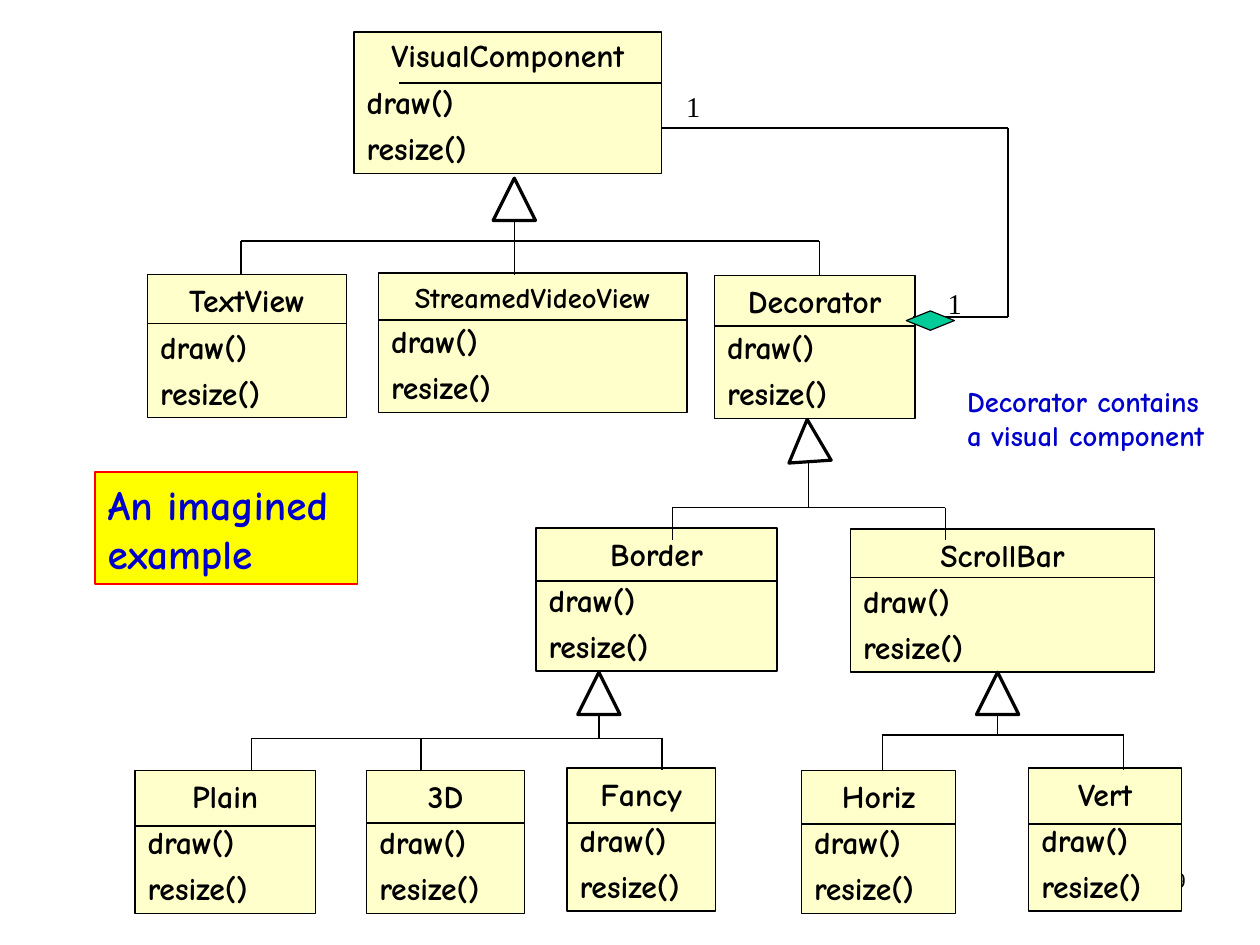
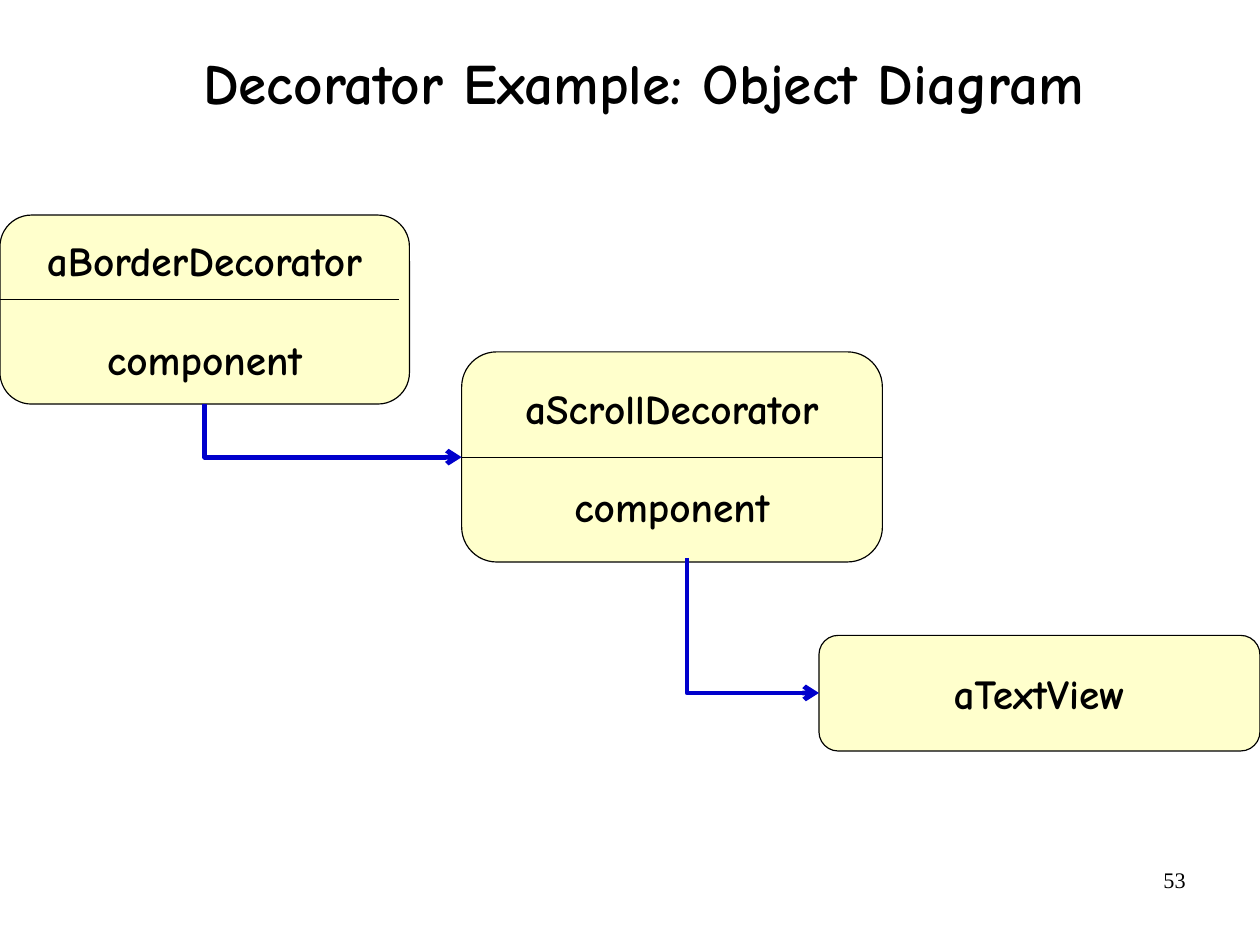
"""Build two slides on the Decorator pattern: a class tree and an object diagram."""
from itertools import pairwise

from pptx import Presentation
from pptx.dml.color import RGBColor
from pptx.enum import shapes as kinds, text as txt
from pptx.oxml.ns import qn
from pptx.util import Cm, Pt

HUES = {"ink": "000000", "cream": "FFFFCC", "blue": "0000CC",
        "yellow": "FFFF00", "red": "FF0000", "green": "00CC99"}
COMIC = {"name": "Comic Neue", "bold": True}
TIMES = {"name": "Times New Roman", "bold": False}
FRAME = {"word_wrap": True, "auto_size": txt.MSO_AUTO_SIZE.NONE,
         "margin_left": Cm(0.28), "margin_right": Cm(0.28),
         "margin_top": Cm(0.15), "margin_bottom": Cm(0.15),
         "vertical_anchor": txt.MSO_ANCHOR.TOP}
MIDDLE = {"vertical_anchor": txt.MSO_ANCHOR.MIDDLE}
LEFT, CENTER, RIGHT = (txt.PP_ALIGN.LEFT, txt.PP_ALIGN.CENTER,
                       txt.PP_ALIGN.RIGHT)
FORM = kinds.MSO_SHAPE
JOIN = kinds.MSO_CONNECTOR

# name: left, top, width, height, divider
CLASSES = {
    "VisualComponent": (7.87, 0.71, 6.83, 3.15, 1.85),
    "TextView": (3.28, 6.1, 4.42, 3.18, 7.19),
    "StreamedVideoView": (8.41, 6.07, 6.86, 3.1, 7.11),
    "Decorator": (15.88, 6.12, 4.45, 3.18, 7.24),
    "Border": (11.91, 11.73, 5.36, 3.18, 12.91),
    "ScrollBar": (18.9, 11.76, 6.76, 3.18, 12.83),
    "Plain": (3, 17.12, 4.01, 3.18, 18.36),
    "3D": (8.15, 17.12, 3.51, 3.18, 18.29),
    "Fancy": (12.6, 17.07, 3.3, 3.18, 18.29),
    "Horiz": (17.81, 17.12, 3.43, 3.18, 18.31),
    "Vert": (22.86, 17.07, 3.4, 3.18, 18.31),
}
# apex x, apex y, bar y, child x values, child y, turn
TREES = [
    (11.43, 3.96, 5.36, (5.36, 11.43, 18.21), 6.1, 0),
    (17.97, 9.32, 11.28, (14.94, 21.01), 11.99, 356.1),
    (13.31, 14.94, 16.41, (5.59, 9.35, 14.71), 17.12, 0),
    (22.17, 14.94, 16.33, (19.61, 24.97), 17.12, 0),
]
# left, top, width, height, words, divider span
OBJECTS = [
    (0, 4.78, 9.1, 4.2, ("aBorderDecorator", "component"), (0, 6.65, 8.86)),
    (10.26, 7.82, 9.35, 4.67, ("aScrollDecorator", "component"),
     (10.26, 10.16, 19.61)),
    (18.2, 14.12, 9.8, 2.57, ("aTextView",), None),
]


def tint(hue):
    """Return the named colour."""
    return RGBColor.from_string(HUES[hue])


def put(item, values):
    """Set each attribute in a dict of format values."""
    for key, value in values.items():
        setattr(item, key, value)


def write(frame, rows, size, face=COMIC, hue="ink", look=None):
    """Fill a text frame with (words, paragraph format) rows."""
    put(frame, FRAME | (look or {}))
    for i, (words, form) in enumerate(rows):
        para = frame.paragraphs[0] if i == 0 else frame.add_paragraph()
        put(para, form)
        run = para.add_run()
        run.text = words
        put(run.font, {"size": Pt(size)} | face)
        run.font.color.rgb = tint(hue)


def label(slide, place, words, size, face=COMIC, hue="ink", align=LEFT):
    """Add a plain text box."""
    box = slide.shapes.add_textbox(*map(Cm, place))
    write(box.text_frame, [(words, {"alignment": align})], size, face, hue)


def block(slide, form, place, fill=None, edge="ink", width=1):
    """Add a preset shape with its fill and outline."""
    shape = slide.shapes.add_shape(form, *map(Cm, place))
    shape.shadow.inherit = False
    if fill:
        shape.fill.solid()
        shape.fill.fore_color.rgb = tint(fill)
    else:
        shape.fill.background()
    shape.line.color.rgb = tint(edge)
    shape.line.width = Pt(width)
    return shape


def wire(slide, start, end, width=1, hue="ink", kind=JOIN.STRAIGHT):
    """Add a connector without shadow."""
    line = slide.shapes.add_connector(kind, *map(Cm, (*start, *end)))
    line.line.color.rgb = tint(hue)
    line.line.width = Pt(width)
    props = line._element.spPr
    props.append(props.makeelement(qn("a:effectLst"), {}))
    return line


def elbow(slide, start, end):
    """Add a blue arrow that runs down and then right."""
    (x1, y1), (x2, y2) = start, end
    wide, tall = x2 - x1, y2 - y1
    left = (x1 + x2 - tall) / 2
    top = (y1 + y2 - wide) / 2
    line = wire(slide, (left + tall, top), (left, top + wide), 3, "blue",
                JOIN.ELBOW)
    props = line._element.spPr
    props.find(qn("a:xfrm")).set("rot", "16200000")
    props.find(qn("a:prstGeom")).set("prst", "bentConnector2")
    edge = props.find(qn("a:ln"))
    edge.append(edge.makeelement(qn("a:tailEnd"), {"type": "arrow"}))


def number(slide, value):
    """Add the slide number."""
    label(slide, (20.1, 19.1, 6.53, 1.45), value, 14, TIMES, align=RIGHT)


def card(slide, name, place):
    """Add a class box with its two methods."""
    shape = block(slide, FORM.RECTANGLE, place, "cream")
    item = {"alignment": LEFT, "space_before": Pt(5)}
    head = {"alignment": CENTER}
    if name == "VisualComponent":
        head["line_spacing"] = 0.95
    write(shape.text_frame,
          [(name, head), ("draw()", item), ("resize()", item)], 20)
    if name == "StreamedVideoView":
        shape.text_frame.paragraphs[0].runs[0].font.size = Pt(18)


def tree(slide, x, y, bar, kids, foot, turn):
    """Add an inheritance triangle with its branches."""
    side = 0.94
    tip = block(slide, FORM.ISOSCELES_TRIANGLE,
                (x - side / 2, y, side, side), width=2)
    tip.rotation = turn
    wire(slide, (x, y + side), (x, bar))
    wire(slide, (kids[0], bar), (kids[-1], bar))
    for kid in kids:
        wire(slide, (kid, bar), (kid, foot))


def classes(deck):
    """Build the class diagram."""
    slide = deck.slides.add_slide(deck.slide_layouts[6])
    number(slide, "49")
    for name, (*place, split) in CLASSES.items():
        card(slide, name, place)
        left, right = place[0], place[0] + place[2]
        if name == "VisualComponent":
            left += 1
        wire(slide, (left, split), (right, split))
    for branch in TREES:
        tree(slide, *branch)
    route = [(14.71, 2.84), (22.4, 2.84), (22.4, 7.04), (20.3, 7.04)]
    for start, end in pairwise(route):
        wire(slide, start, end)
    for place in ((14.94, 1.83, 0.94, 1.04), (20.78, 6.2, 0.69, 1.04)):
        label(slide, place, "1", 18, TIMES, align=CENTER)
    label(slide, (21.21, 8.38, 6.07, 1.8),
          "Decorator contains a visual component", 18, hue="blue")
    note = block(slide, FORM.RECTANGLE, (2.11, 10.49, 5.84, 2.49),
                 "yellow", "red")
    write(note.text_frame, [("An imagined example", {"alignment": LEFT})],
          26, hue="blue")
    block(slide, FORM.DIAMOND, (20.14, 6.91, 1.07, 0.43), "green", width=0.75)


def objects(deck):
    """Build the object diagram."""
    slide = deck.slides.add_slide(deck.slide_layouts[5])
    number(slide, "53")
    title = slide.shapes.title
    put(title, {"left": Cm(2.36), "top": Cm(0.97),
                "width": Cm(23.88), "height": Cm(1.88)})
    bare = dict.fromkeys(("margin_left", "margin_right", "margin_top",
                          "margin_bottom"), 0)
    write(title.text_frame, [("Decorator Example: Object Diagram",
                              {"alignment": CENTER, "line_spacing": 0.88})],
          36, look=MIDDLE | bare)
    for *place, words, split in OBJECTS:
        shape = block(slide, FORM.ROUNDED_RECTANGLE, place, "cream",
                      width=0.75)
        rows = [(word, {"alignment": CENTER, "space_before": Pt(31 * i)})
                for i, word in enumerate(words)]
        write(shape.text_frame, rows, 26, look=MIDDLE | {"word_wrap": False})
        if split:
            left, y, right = split
            wire(slide, (left, y), (right, y), 0.75)
    elbow(slide, (4.55, 8.98), (10.26, 10.16))
    elbow(slide, (15.27, 12.4), (18.2, 15.4))


def main():
    """Build and save the deck."""
    deck = Presentation()
    put(deck, {"slide_width": Cm(28), "slide_height": Cm(21)})
    classes(deck)
    objects(deck)
    deck.save("out.pptx")


if __name__ == "__main__":
    main()
